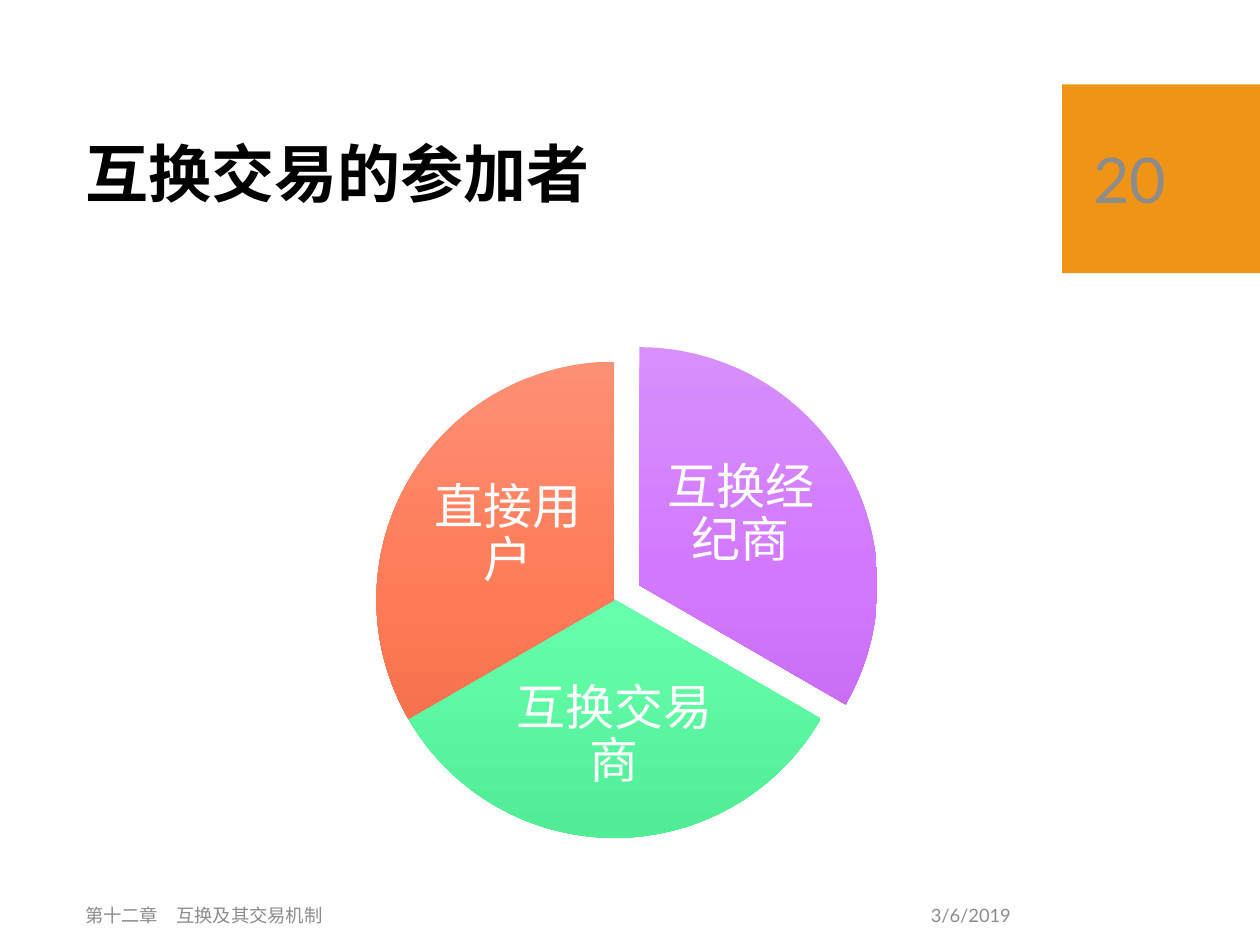
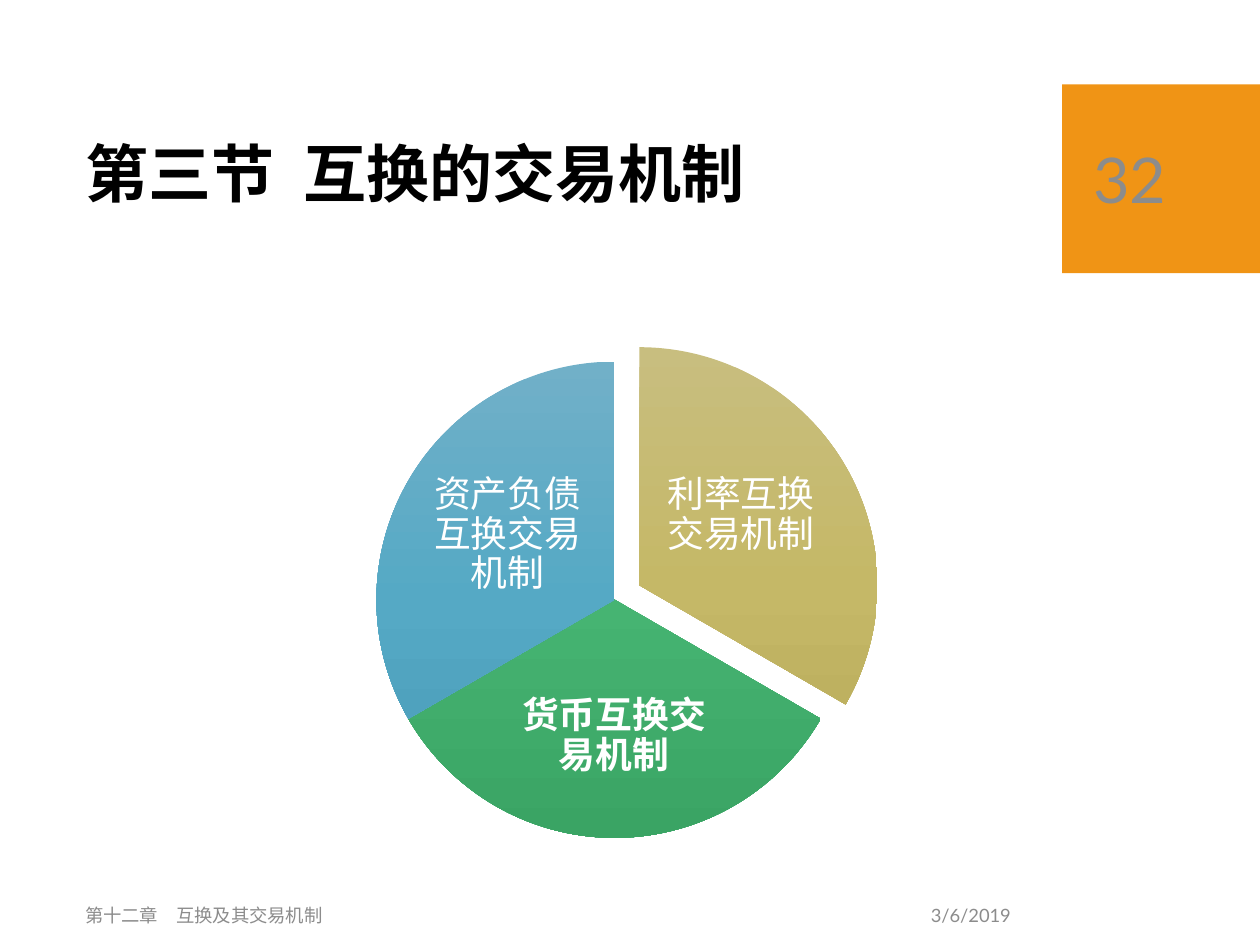
from copy import deepcopy

from pptx import Presentation
from pptx.dml.color import RGBColor
from pptx.enum.shapes import MSO_SHAPE
from pptx.enum.text import MSO_ANCHOR, MSO_AUTO_SIZE, PP_ALIGN
from pptx.util import Cm, Pt

RECT, PIE = MSO_SHAPE.RECTANGLE, MSO_SHAPE.CHORD
PIE = MSO_SHAPE.PIE
LEFT, CENTER, RIGHT = PP_ALIGN.LEFT, PP_ALIGN.CENTER, PP_ALIGN.RIGHT
MIDDLE = MSO_ANCHOR.MIDDLE
FIXED = MSO_AUTO_SIZE.NONE

FONT = "Lato"
BLACK = RGBColor(0x00, 0x00, 0x00)
WHITE = RGBColor(0xFF, 0xFF, 0xFF)
GREY = RGBColor(0x8C, 0x8C, 0x8C)
ORANGE = RGBColor(0xF0, 0x94, 0x15)


def shades(*codes):
    return [RGBColor.from_string(code) for code in codes]


PURPLE = shades("D790FB", "D377FF", "BE62EA")
MINT = shades("82FCB6", "67FFAB", "52EC97")
CORAL = shades("FD8F75", "FF7B57", "EE6742")
SAND = shades("C8BE7F", "C5B867", "B4A756")
GREEN = shades("67B884", "46B472", "3AA464")
BLUE = shades("71B0C8", "55A9C5", "4798B4")

DATE = "3/6/2019"
CHAPTER = "第十二章　互换及其交易机制"

# Boxes are left, top, width, height in centimetres
TITLE_BOX = (1.47, 2.08, 19.15, 3)
BAND_BOX = (21.41, 1.7, 3.99, 3.81)
PAGE_BOX = (21.79, 2.08, 3.23, 3.02)
DATE_BOX = (14.91, 17.93, 5.72, 1.02)
CHAPTER_BOX = (1.47, 17.93, 13.44, 1.02)
PIE_LEFT, PIE_TOP, PIE_SIZE = 7.59, 7.29, 9.6
SHIFTS = [(0.5, -0.29), (0, 0), (0, 0)]  # first slice is pulled out
LABEL_BOXES = [
    (13.31, 8.79, 3.25, 3.2),
    (10.21, 13.36, 4.34, 2.97),
    (8.61, 9.19, 3.25, 3.2),
]

# Title, page, label size, then the slices: text, shades, bold
SLIDES = [
    ("互换交易的参加者", 20, 28, [
        ("互换经纪商", PURPLE, False),
        ("互换交易商", MINT, False),
        ("直接用户", CORAL, False),
    ]),
    ("第三节  互换的交易机制", 32, 21, [
        ("利率互换交易机制", SAND, False),
        ("货币互换交易机制", GREEN, True),
        ("资产负债互换交易机制", BLUE, False),
    ]),
]


def lengths(box):
    return [Cm(value) for value in box]


class Deck:
    """Holds the shared style and the slide being built."""

    def __init__(self):
        self.prs = Presentation()
        self.prs.slide_width, self.prs.slide_height = Cm(25.4), Cm(19.05)
        self.slide = None

    def start(self, title, page):
        """Add a slide with its title, band, page number and footer."""
        self.slide = self.prs.slides.add_slide(self.prs.slide_layouts[5])
        head = self.slide.shapes.title
        head.left, head.top, head.width, head.height = lengths(TITLE_BOX)
        self.style(head.text_frame, title, 36, BLACK, LEFT, True, 0.9)
        self.shape(RECT, BAND_BOX).fill.solid()
        band = self.slide.shapes[-1]
        band.fill.fore_color.rgb = ORANGE
        self.text(PAGE_BOX, str(page), 36, GREY)
        self.text(DATE_BOX, DATE, 10.5, GREY, RIGHT)
        self.text(CHAPTER_BOX, CHAPTER, 10.5, GREY)

    def style(self, frame, text, size, color, align, bold, spacing):
        frame.text = text
        frame.word_wrap = True
        frame.auto_size = FIXED
        frame.vertical_anchor = MIDDLE
        para = frame.paragraphs[0]
        para.alignment = align
        para.line_spacing = spacing
        font = para.runs[0].font
        font.name, font.size, font.bold = FONT, Pt(size), bold
        font.color.rgb = color

    def text(self, box, text, size, color, align=LEFT, bold=False, spacing=1):
        frame = self.slide.shapes.add_textbox(*lengths(box)).text_frame
        self.style(frame, text, size, color, align, bold, spacing)
        return frame

    def shape(self, kind, box):
        item = self.slide.shapes.add_shape(kind, *lengths(box))
        item.shadow.inherit = False
        item.line.fill.background()
        return item

    def wedge(self, index, count, colors):
        """Draw one of count equal slices, clockwise from the top."""
        across, down = SHIFTS[index]
        box = (PIE_LEFT + across, PIE_TOP + down, PIE_SIZE, PIE_SIZE)
        item = self.shape(PIE, box)
        for side in range(2):
            angle = (270 + 360 / count * (index + side)) % 360
            item.adjustments[side] = angle * 0.6  # 60000 units a degree
        self.blend(item.fill, item, colors)

    def blend(self, fill, item, colors):
        """Fill from top to bottom with evenly spaced colours."""
        fill.gradient()
        fill.gradient_angle = 270
        first = item._element.xpath(".//a:gs")[0]
        for _ in colors[2:]:
            first.addnext(deepcopy(first))
        for step, (stop, color) in enumerate(zip(fill.gradient_stops, colors)):
            stop.position = step / (len(colors) - 1)
            stop.color.rgb = color

    def label(self, box, text, size, bold):
        frame = self.text(box, text, size, WHITE, CENTER, bold, 0.9)
        inset = Cm(size / 300)
        frame.margin_left = frame.margin_right = inset
        frame.margin_top = frame.margin_bottom = inset

    def pie(self, slices, size):
        for index, (text, colors, bold) in enumerate(slices):
            self.wedge(index, len(slices), colors)
            self.label(LABEL_BOXES[index], text, size, bold)


def main():
    deck = Deck()
    for title, page, size, slices in SLIDES:
        deck.start(title, page)
        deck.pie(slices, size)
    deck.prs.save("out.pptx")


if __name__ == "__main__":
    main()
